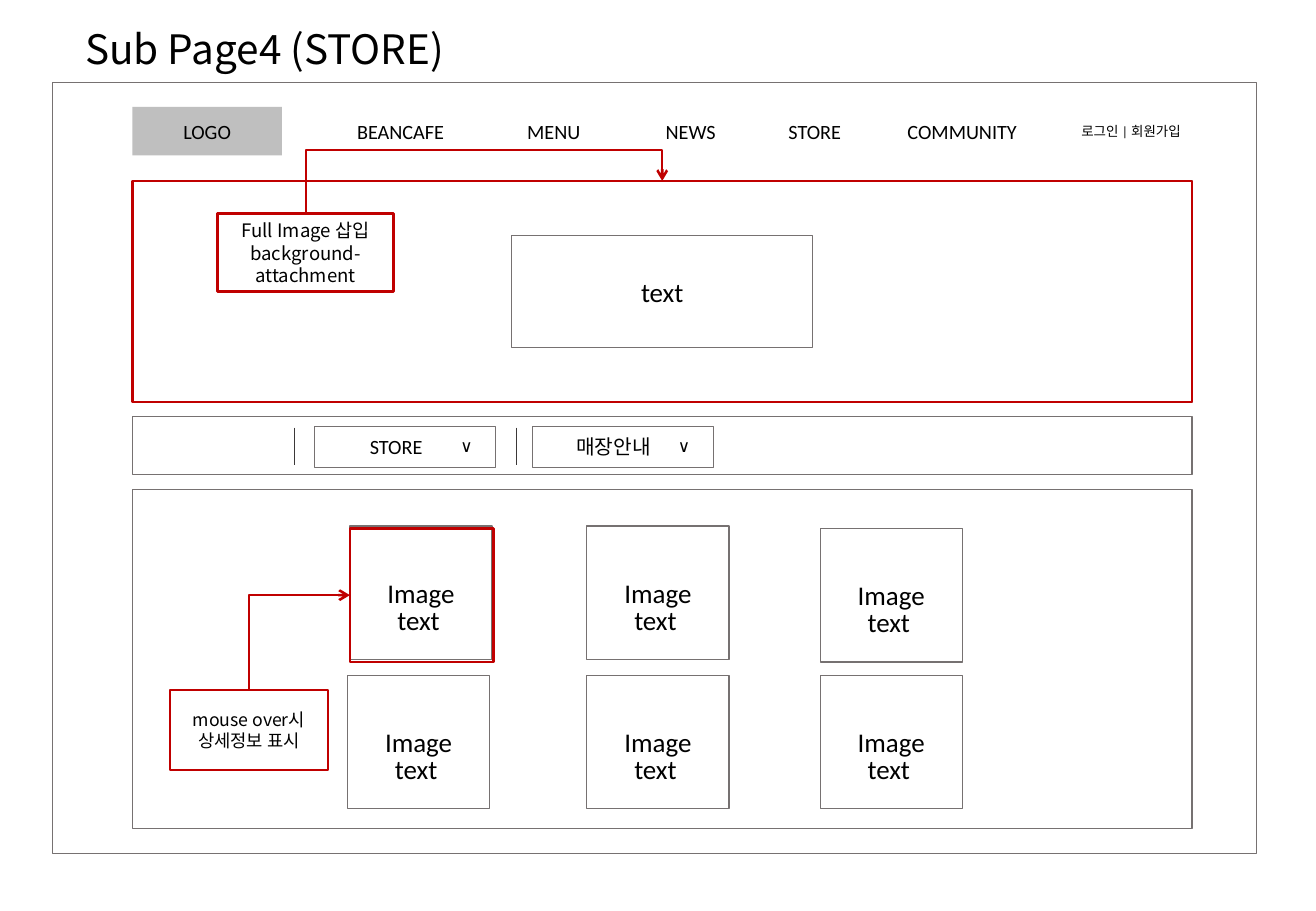
"""Builds the wireframe slide for the STORE sub page."""
from dataclasses import dataclass

from lxml import etree
from pptx import Presentation
from pptx import util as u
from pptx.dml.color import RGBColor
from pptx.enum import shapes, text
from pptx.oxml import ns

COLORS = {"frame": "767171", "note": "C00000", "logo": "BFBFBF",
          "divider": "3B3838", "ink": "000000"}
LATIN, KOREAN = "Calibri", "Noto Sans CJK KR"
COLUMNS, ROWS = 108.3, 75

deck = Presentation()
deck.slide_width, deck.slide_height = u.Inches(10.83), u.Inches(7.5)
page = deck.slides.add_slide(deck.slide_layouts.get_by_name("Title Only"))


@dataclass
class Area:
    column: float
    row: float
    columns: float
    rows: float


@dataclass
class Words:
    lines: tuple[str, ...]
    size: float
    font: str = LATIN
    centered: bool = True
    middle: bool = True
    wrap: bool = True


@dataclass
class Panel:
    area: Area
    line: str = "frame"
    fill: str = ""
    words: Words | None = None


def across(columns: float) -> int:
    return round(deck.slide_width * columns / COLUMNS)


def down(rows: float) -> int:
    return round(deck.slide_height * rows / ROWS)


def bounds(area: Area) -> tuple[int, int, int, int]:
    return across(area.column), down(area.row), across(area.columns), down(area.rows)


def color(name: str) -> RGBColor:
    return RGBColor.from_string(COLORS[name])


def write(box, words: Words) -> None:
    frame = box.text_frame
    frame.auto_size = text.MSO_AUTO_SIZE.NONE
    frame.word_wrap = words.wrap
    frame.vertical_anchor = text.MSO_ANCHOR.MIDDLE if words.middle else text.MSO_ANCHOR.TOP
    for index, line in enumerate(words.lines):
        para = frame.add_paragraph() if index else frame.paragraphs[0]
        para.alignment = text.PP_ALIGN.CENTER if words.centered else text.PP_ALIGN.LEFT
        span = para.add_run()
        span.text = line
        span.font.size = u.Pt(words.size)
        span.font.name = words.font
        span.font.color.rgb = color("ink")
        etree.SubElement(span.font._element, ns.qn("a:ea"), typeface=KOREAN)


def draw_label(area: Area, words: Words) -> None:
    write(page.shapes.add_textbox(*bounds(area)), words)


def draw_panel(panel: Panel) -> None:
    box = page.shapes.add_shape(shapes.MSO_SHAPE.RECTANGLE, *bounds(panel.area))
    box.shadow.inherit = False
    if panel.fill:
        box.fill.solid()
        box.fill.fore_color.rgb = color(panel.fill)
        box.line.fill.background()
    else:
        box.fill.background()
        box.line.color.rgb = color(panel.line)
        box.line.width = u.Pt(1.5 if panel.line == "note" else 0.75)
    if panel.words:
        write(box, panel.words)


def draw_connector(kind, area: Area, line: str, width: float):
    left, top, wide, high = bounds(area)
    connector = page.shapes.add_connector(kind, left, top, left + wide, top + high)
    connector.line.color.rgb = color(line)
    connector.line.width = u.Pt(width)
    etree.SubElement(connector._element.spPr, ns.qn("a:effectLst"))
    return connector


def draw_note_arrow(start: tuple[float, float], end: tuple[float, float],
                    preset: str, bend: int | None = None) -> None:
    """Draws an elbow arrow that leaves its start upwards."""
    wide, high = end[0] - start[0], start[1] - end[1]
    area = Area((start[0] + end[0] - high) / 2, (start[1] + end[1] - wide) / 2, high, wide)
    arrow = draw_connector(shapes.MSO_CONNECTOR.ELBOW, area, "note", 1.5)
    properties = arrow._element.spPr
    for name, value in (("rot", "5400000"), ("flipH", "1"), ("flipV", "1")):
        properties.find(ns.qn("a:xfrm")).set(name, value)
    geometry = properties.find(ns.qn("a:prstGeom"))
    geometry.set("prst", preset)
    if bend is not None:
        adjustments = geometry.find(ns.qn("a:avLst"))
        etree.SubElement(adjustments, ns.qn("a:gd"), name="adj1", fmla=f"val {bend}")
    etree.SubElement(properties.find(ns.qn("a:ln")), ns.qn("a:tailEnd"), type="arrow")


def draw_title() -> None:
    title = page.shapes.title
    title.left, title.top, title.width, title.height = bounds(Area(6, 1.5, 31.6, 5))
    write(title, Words(("Sub Page4 (STORE)",), 24, KOREAN, False, False, False))


def draw_header() -> None:
    draw_panel(Panel(Area(4.3, 6.8, 99.1, 63.5)))
    draw_panel(Panel(Area(10.9, 8.8, 12.3, 4), fill="logo", words=Words(("LOGO",), 12)))
    menu = {"BEANCAFE": 28.4, "MENU": 42.4, "NEWS": 53.8, "STORE": 63.9, "COMMUNITY": 73.7}
    for name, column in menu.items():
        draw_label(Area(column, 9.3, 11.6, 3), Words((name,), 12, centered=False, middle=False))
    draw_label(Area(88, 9.6, 10.9, 2.4),
               Words(("로그인 | 회원가입",), 8, centered=False, middle=False))


def draw_hero() -> None:
    hero = Area(10.9, 14.9, 87.2, 18.2)
    draw_panel(Panel(hero))
    draw_note_arrow((25.2, 17.6), (54.5, 14.9), "bentConnector3", 194000)
    draw_panel(Panel(hero, "note"))
    draw_panel(Panel(Area(17.9, 17.6, 14.5, 6.4), "note",
                     words=Words(("Full Image 삽입", "background-attachment"), 11, KOREAN)))
    draw_panel(Panel(Area(42.1, 19.4, 24.8, 9.2), words=Words(("text",), 16)))


def draw_selectors() -> None:
    draw_panel(Panel(Area(10.9, 34.3, 87.2, 4.8)))
    for name, column, divider, label, width in (("STORE", 25.9, 24.2, 29.4, 6.4),
                                                ("매장안내", 43.8, 42.5, 46.1, 8.8)):
        draw_connector(shapes.MSO_CONNECTOR.STRAIGHT, Area(divider, 35.2, 0, 3.1), "divider", 0.5)
        draw_label(Area(label, 35.3, width, 3), Words((name,), 12, middle=False, wrap=False))
        draw_label(Area(column + 11, 35.4, 5.1, 2.7),
                   Words(("∨",), 10, centered=False, middle=False))
        draw_panel(Panel(Area(column, 35.1, 14.9, 3.4)))


def draw_gallery() -> None:
    draw_panel(Panel(Area(10.9, 40.3, 87.2, 27.9)))
    cards = ((28.8, 43.3), (48.3, 43.3), (67.5, 43.5), (28.6, 55.6), (48.3, 55.6), (67.5, 55.6))
    for column, row in cards:
        draw_panel(Panel(Area(column, row, 11.7, 11), words=Words(("Image",), 16)))
        draw_label(Area(column - 0.2, row + 6, 11.7, 3.4), Words(("text",), 16))
    draw_panel(Panel(Area(28.8, 43.5, 11.8, 11), "note"))
    draw_note_arrow((20.5, 56.8), (28.8, 49), "bentConnector2")
    draw_panel(Panel(Area(14, 56.8, 13, 6.6), "note",
                     words=Words(("mouse over시", "상세정보 표시"), 10.5, KOREAN)))


def main() -> None:
    draw_title()
    draw_header()
    draw_hero()
    draw_selectors()
    draw_gallery()
    deck.save("out.pptx")


if __name__ == "__main__":
    main()
